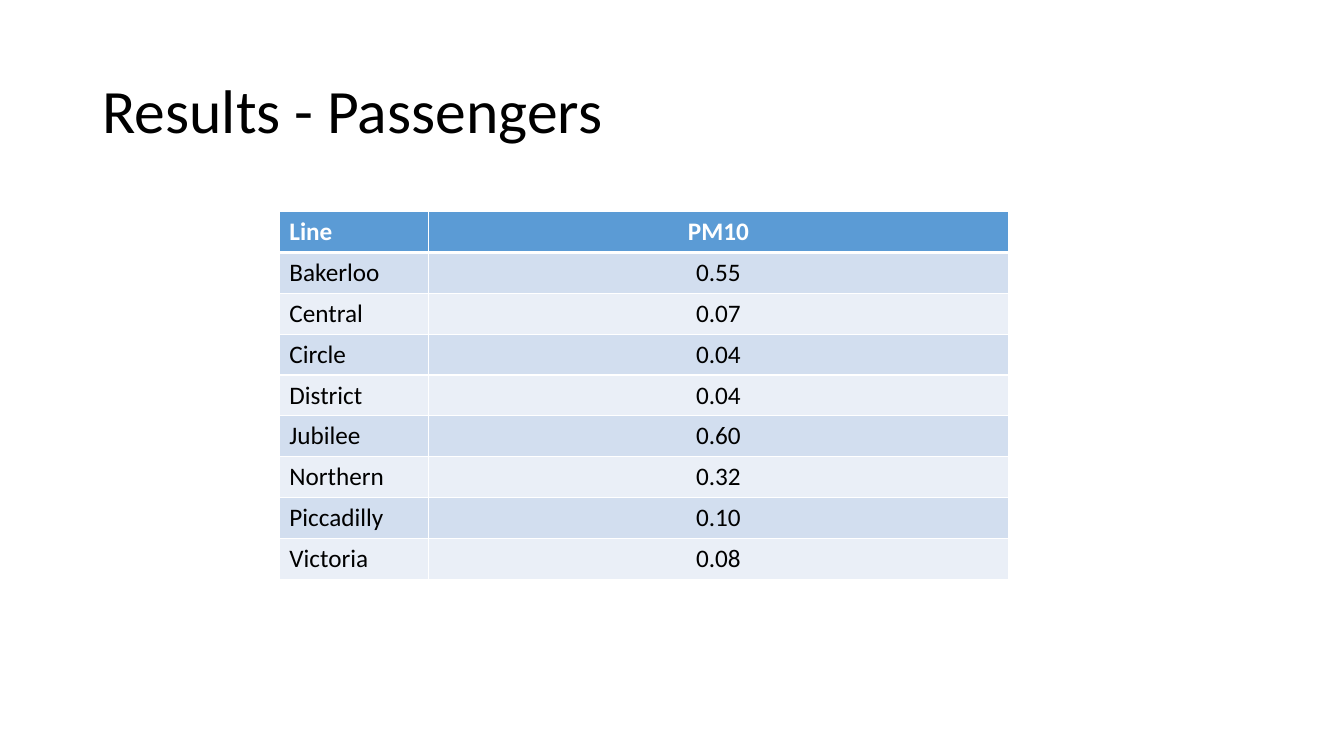
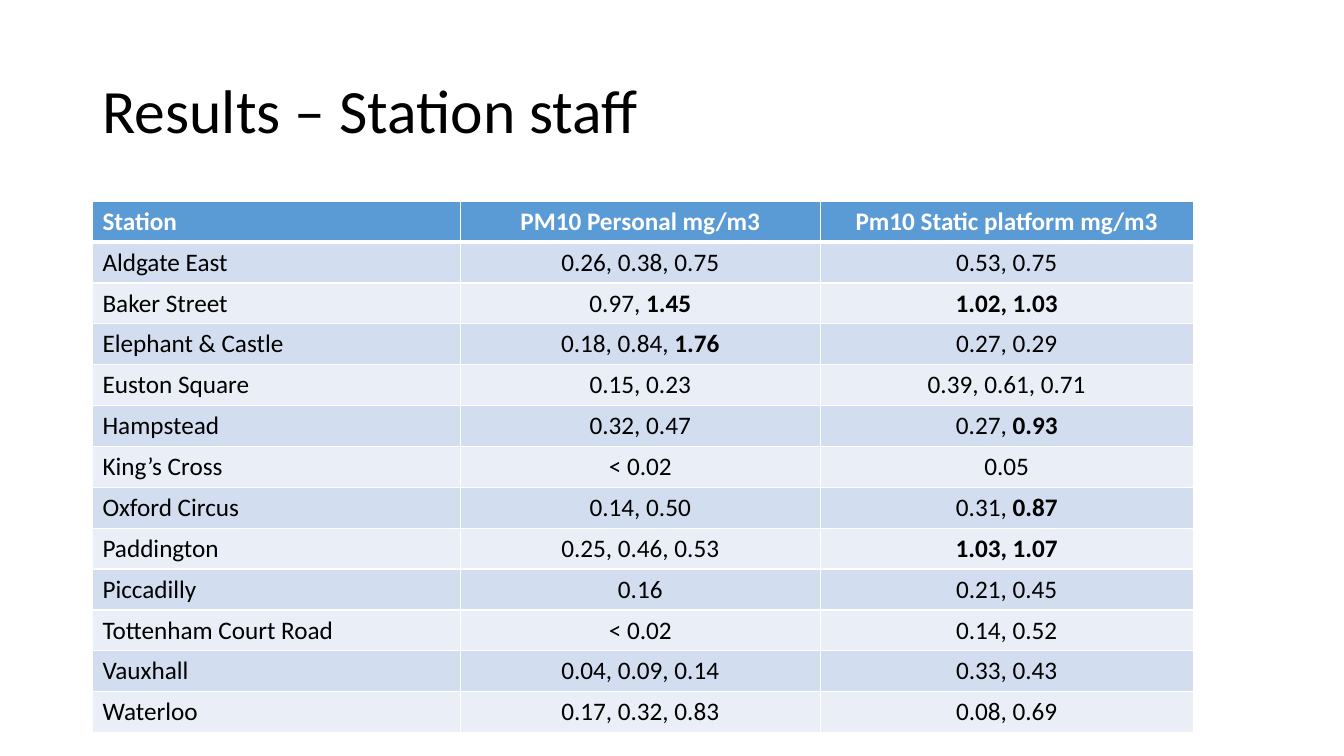
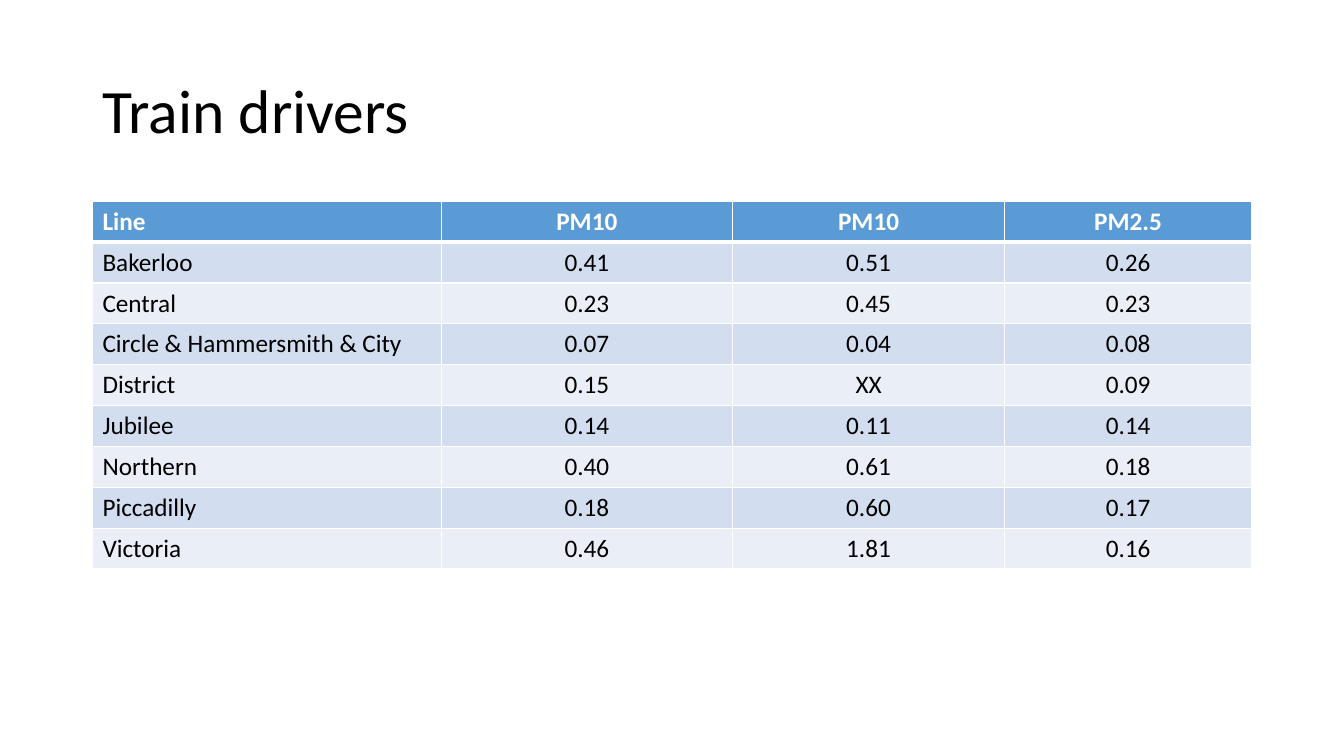
import pptx
import pptx.dml.color
import pptx.enum.text
import pptx.oxml
import pptx.oxml.ns
import pptx.util
from pptx.util import Cm

RGBColor = pptx.dml.color.RGBColor
ALIGN = pptx.enum.text.PP_ALIGN
ANCHOR = pptx.enum.text.MSO_ANCHOR

BLACK = RGBColor(0x00, 0x00, 0x00)
WHITE = RGBColor(0xFF, 0xFF, 0xFF)
HEADER_BLUE = RGBColor(0x5B, 0x9B, 0xD5)
BAND_DARK = RGBColor(0xD2, 0xDE, 0xEF)
BAND_LIGHT = RGBColor(0xEA, 0xEF, 0xF7)

FONT = "Calibri"
BOLD_MARK = "*"
TITLE_BOX = (Cm(2.33), Cm(1.01), Cm(29.21), Cm(3.68))
ROW_HEIGHT = Cm(1.03)
THIN, THICK = 1, 3

PASSENGERS = [
    ("Line", "PM10"),
    ("Bakerloo", "0.55"),
    ("Central", "0.07"),
    ("Circle", "0.04"),
    ("District", "0.04"),
    ("Jubilee", "0.60"),
    ("Northern", "0.32"),
    ("Piccadilly", "0.10"),
    ("Victoria", "0.08"),
]

STATION_STAFF = [
    ("Station", "PM10 Personal mg/m3", "Pm10 Static platform mg/m3"),
    ("Aldgate East", "0.26, 0.38, 0.75", "0.53, 0.75"),
    ("Baker Street", "0.97, *1.45", "*1.02, 1.03"),
    ("Elephant & Castle", "0.18, 0.84, *1.76", "0.27, 0.29"),
    ("Euston Square", "0.15, 0.23", "0.39, 0.61, 0.71"),
    ("Hampstead", "0.32, 0.47", "0.27, *0.93"),
    ("King’s Cross", "< 0.02", "0.05"),
    ("Oxford Circus", "0.14, 0.50", "0.31, *0.87"),
    ("Paddington", "0.25, 0.46, 0.53", "*1.03, 1.07"),
    ("Piccadilly", "0.16", "0.21, 0.45"),
    ("Tottenham Court Road", "< 0.02", "0.14, 0.52"),
    ("Vauxhall", "0.04, 0.09, 0.14", "0.33, 0.43"),
    ("Waterloo", "0.17, 0.32, 0.83", "0.08, 0.69"),
]

TRAIN_DRIVERS = [
    ("Line", "PM10", "PM10", "PM2.5"),
    ("Bakerloo", "0.41", "0.51", "0.26"),
    ("Central", "0.23", "0.45", "0.23"),
    ("Circle & Hammersmith & City", "0.07", "0.04", "0.08"),
    ("District", "0.15", "XX", "0.09"),
    ("Jubilee", "0.14", "0.11", "0.14"),
    ("Northern", "0.40", "0.61", "0.18"),
    ("Piccadilly", "0.18", "0.60", "0.17"),
    ("Victoria", "0.46", "1.81", "0.16"),
]


def write_text(frame, text, size=18, color=BLACK, bold=False,
               align=ALIGN.LEFT, line_spacing=None):
    paragraph = frame.paragraphs[0]
    paragraph.alignment = align
    paragraph.line_spacing = line_spacing
    plain, _, strong = text.partition(BOLD_MARK)
    for part, part_bold in ((plain, bold), (strong, True)):
        if part:
            run = paragraph.add_run()
            run.text = part
            run.font.name = FONT
            run.font.size = pptx.util.Pt(size)
            run.font.color.rgb = color
            run.font.bold = part_bold


def set_borders(cell, **widths):
    properties = cell._tc.get_or_add_tcPr()
    for side in ("L", "R", "T", "B"):
        width = pptx.util.Pt(widths.get(side, THIN))
        properties.append(pptx.oxml.parse_xml(
            f'<a:ln{side} {pptx.oxml.ns.nsdecls("a")} w="{width}">'
            f'<a:solidFill><a:srgbClr val="{WHITE}"/></a:solidFill>'
            f'</a:ln{side}>'))


def place_title(slide, text, box):
    title = slide.shapes.title
    title.left, title.top, title.width, title.height = box
    title.text_frame.word_wrap = True
    title.text_frame.vertical_anchor = ANCHOR.MIDDLE
    write_text(title.text_frame, text, size=44, line_spacing=0.9)


def place_table(slide, rows, left, top, column_widths):
    table = slide.shapes.add_table(
        len(rows), len(column_widths), left, top,
        sum(column_widths), ROW_HEIGHT * len(rows)).table
    for column, width in zip(table.columns, column_widths):
        column.width = width
    for row_index, row in enumerate(rows):
        table.rows[row_index].height = ROW_HEIGHT
        header = row_index == 0
        band = BAND_DARK if row_index % 2 else BAND_LIGHT
        for column_index, text in enumerate(row):
            cell = table.cell(row_index, column_index)
            set_borders(cell, T=THICK if row_index == 1 else THIN,
                        B=THICK if header else THIN)
            cell.fill.solid()
            cell.fill.fore_color.rgb = HEADER_BLUE if header else band
            write_text(cell.text_frame, text, bold=header,
                       color=WHITE if header else BLACK,
                       align=ALIGN.CENTER if column_index else ALIGN.LEFT)


def add_results_slide(presentation, title, rows, left, top, column_widths):
    slide = presentation.slides.add_slide(presentation.slide_layouts[5])
    place_title(slide, title, TITLE_BOX)
    place_table(slide, rows, left, top, column_widths)


presentation = pptx.Presentation()
presentation.slide_width = Cm(33.87)
presentation.slide_height = Cm(19.05)

add_results_slide(presentation, "Results - Passengers", PASSENGERS,
                  Cm(7.04), Cm(5.33), [Cm(3.76), Cm(14.61)])
add_results_slide(presentation, "Results – Station staff", STATION_STAFF,
                  Cm(2.33), Cm(5.07), [Cm(9.27), Cm(9.07), Cm(9.4)])
add_results_slide(presentation, "Train drivers", TRAIN_DRIVERS,
                  Cm(2.33), Cm(5.07), [Cm(8.79), Cm(7.34), Cm(6.86), Cm(6.22)])

presentation.save("out.pptx")
